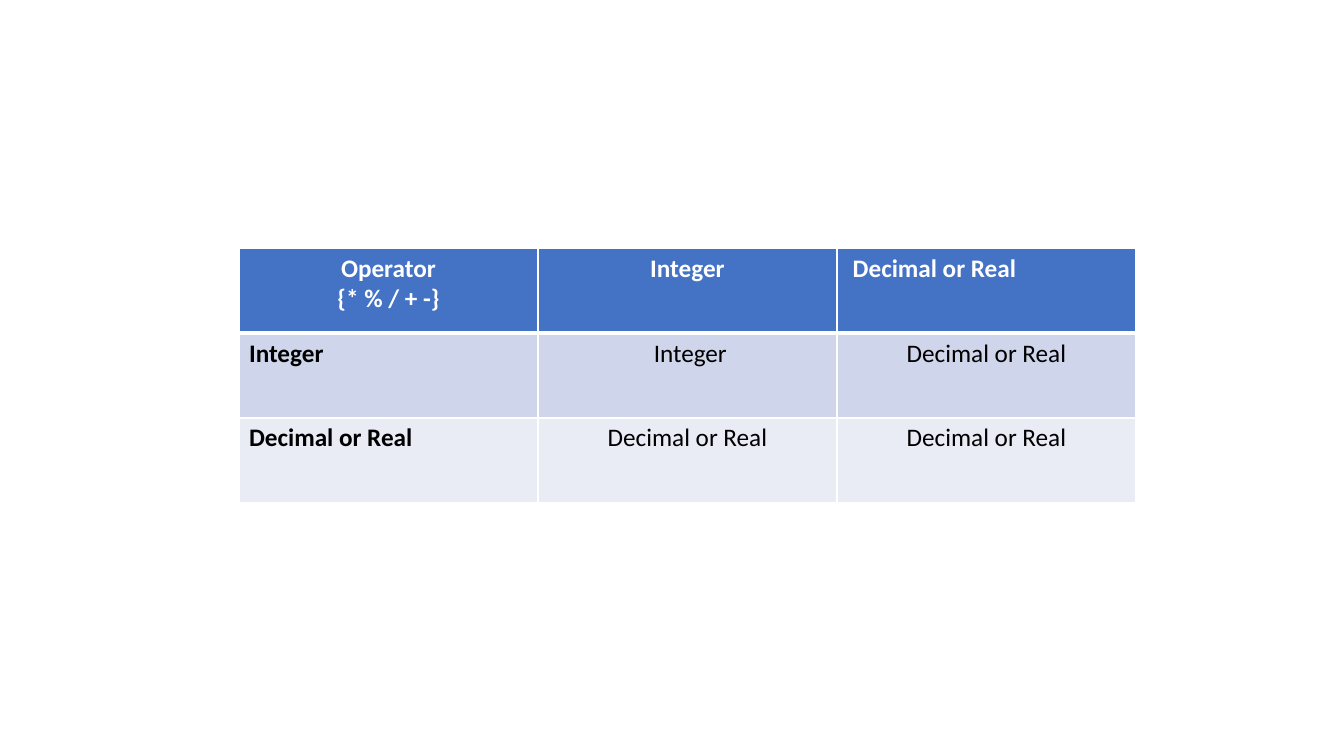
from lxml.etree import SubElement as Sub
from pptx import Presentation
from pptx.dml.color import RGBColor as RGB
from pptx.enum.text import PP_ALIGN as Align
from pptx.oxml.ns import qn
from pptx.util import Emu, Pt

SCALE = 914400 / 100.8
WHITE = RGB(0xFF, 0xFF, 0xFF)
BLACK = RGB(0x00, 0x00, 0x00)
BLUE = RGB(0x44, 0x72, 0xC4)
BAND = RGB(0xCF, 0xD5, 0xEA)
PALE = RGB(0xE9, 0xEB, 0xF5)
FILLS = [BLUE, BAND, PALE]
TYPES = [
    ["Operator\n{* % / + -}", "Integer", " Decimal or Real"],
    ["Integer", " Integer", "Decimal or Real"],
    ["Decimal or Real", "Decimal or Real", "Decimal or Real"],
]
LEFT = {(0, 2), (1, 0), (2, 0)}


def px(size):
    return Emu(round(size * SCALE))


def add_edge(cell, side, width):
    edge = Sub(cell._tc.get_or_add_tcPr(), qn(f"a:ln{side}"), w=str(Pt(width)))
    fill = Sub(edge, qn("a:solidFill"))
    Sub(fill, qn("a:srgbClr"), val=str(WHITE))


def set_cell(cell, text, fill, color, bold, align):
    cell.text = text
    for para in cell.text_frame.paragraphs:
        para.alignment = align
        font = para.font
        font.name = "Calibri"
        font.size = Pt(18)
        font.bold = bold
        font.color.rgb = color
    cell.fill.solid()
    cell.fill.fore_color.rgb = fill


def add_grid(slide, left, top, width, height):
    rows, cols = len(TYPES), len(TYPES[0])
    frame = slide.shapes.add_table(
        rows, cols, px(left), px(top), px(width * cols), px(height * rows))
    table = frame.table
    for col in table.columns:
        col.width = px(width)
    for row in table.rows:
        row.height = px(height)
    for r, texts in enumerate(TYPES):
        for c, text in enumerate(texts):
            cell = table.cell(r, c)
            head = r == 0
            widths = {"L": 1, "R": 1, "T": 3 if r == 1 else 1, "B": 3 if head else 1}
            for side, width in widths.items():
                add_edge(cell, side, width)
            align = Align.LEFT if (r, c) in LEFT else Align.CENTER
            set_cell(cell, text, FILLS[r], WHITE if head else BLACK,
                     head or c == 0, align)


def main():
    deck = Presentation()
    deck.slide_width = px(1344)
    deck.slide_height = px(756)
    slide = deck.slides.add_slide(deck.slide_layouts[6])
    add_grid(slide, 239, 248, 299, 85)
    deck.save("out.pptx")


if __name__ == "__main__":
    main()
